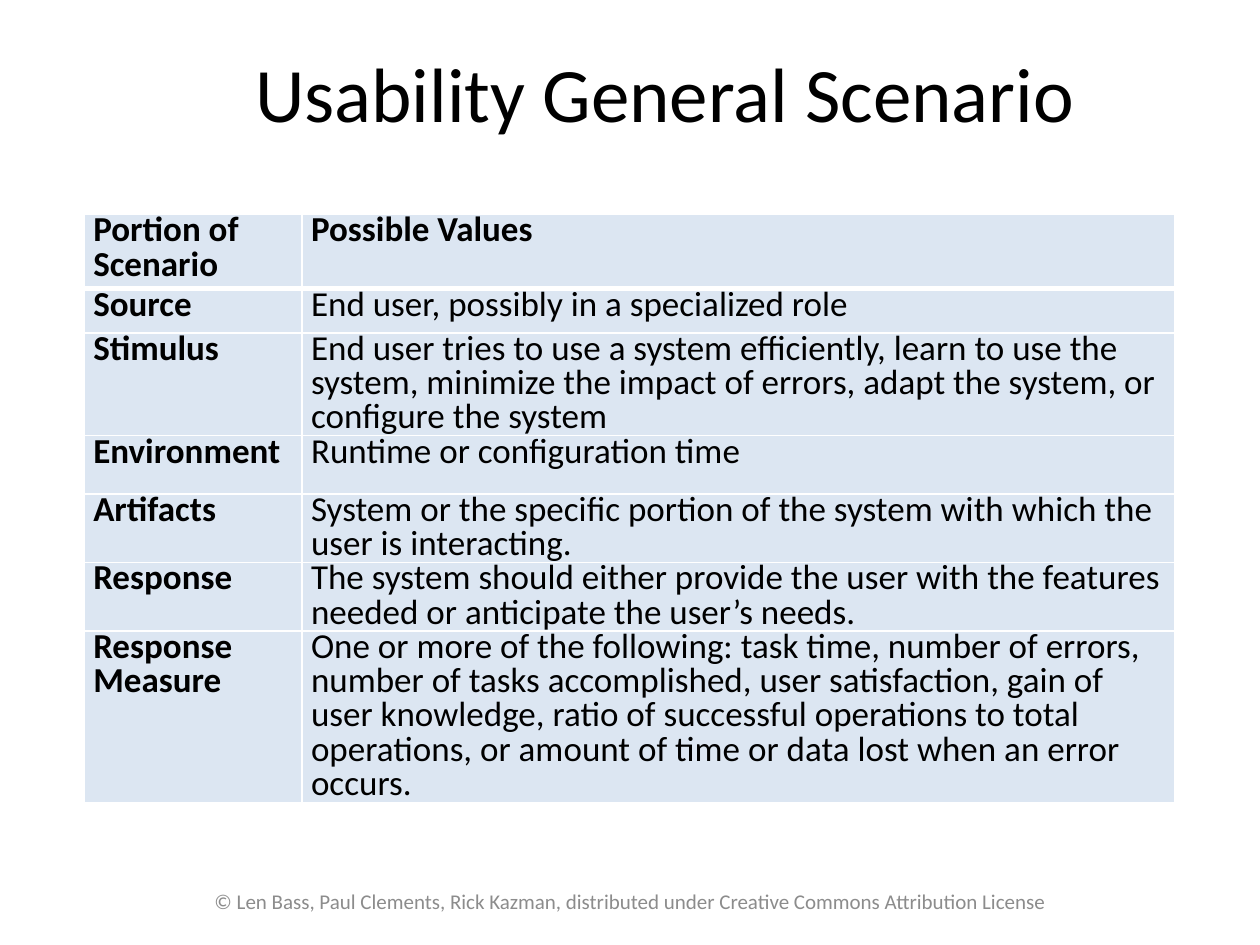
from lxml.etree import SubElement
from pptx import Presentation
from pptx.dml.color import RGBColor
from pptx.enum.text import MSO_ANCHOR, PP_ALIGN
from pptx.oxml.ns import qn
from pptx.util import Cm, Pt

COLORS = {"text": "000000", "footer": "8C8C8C", "cell": "DCE6F2", "border": "FFFFFF"}
ROWS = [
    ("Portion of\nScenario", "Possible Values"),
    ("Source", "End user, possibly in a specialized role"),
    ("Stimulus", "End user tries to use a system efficiently, learn to use the system, "
     "minimize the impact of errors, adapt the system, or configure the system"),
    ("Environment", "Runtime or configuration time"),
    ("Artifacts", "System or the specific portion of the system with which the user "
     "is interacting."),
    ("Response", "The system should either provide the user with the features needed "
     "or anticipate the user’s needs."),
    ("Response Measure", "One or more of the following: task time, number of errors, "
     "number of tasks accomplished, user satisfaction, gain of user knowledge, ratio of "
     "successful operations to total operations, or amount of time or data lost when an "
     "error occurs."),
]
COLUMN_WIDTHS = [4.39, 17.6]
ROW_HEIGHTS = [1.5, 0.89, 1.32, 1.17, 1.32, 1.32, 2.21]


def write_text(frame, text, size, color, bold=False, align=PP_ALIGN.LEFT):
    frame.word_wrap = True
    para = frame.paragraphs[0]
    para.text = text
    para.alignment = align
    for span in para.runs:
        span.font.name = "Calibri"
        span.font.size = Pt(size)
        span.font.bold = bold
        span.font.color.rgb = RGBColor.from_string(COLORS[color])
    return para


def add_border(cell, side, width):
    properties = cell._tc.get_or_add_tcPr()
    line = SubElement(properties, qn(f"a:ln{side}"), w=str(Pt(width)))
    fill = SubElement(line, qn("a:solidFill"))
    SubElement(fill, qn("a:srgbClr"), val=COLORS["border"])


deck = Presentation()
deck.slide_width, deck.slide_height = Cm(25.4), Cm(19.05)
page = deck.slides.add_slide(deck.slide_layouts[5])

# Title
title = page.shapes.title
title.left, title.top, title.width, title.height = Cm(2.69), Cm(0.76), Cm(21.44), Cm(2.16)
title.text_frame.vertical_anchor = MSO_ANCHOR.MIDDLE
write_text(title.text_frame, "Usability General Scenario", 44, "text", align=PP_ALIGN.CENTER)

# Scenario table
table = page.shapes.add_table(len(ROWS), len(COLUMN_WIDTHS), Cm(1.7), Cm(4.32),
                              Cm(sum(COLUMN_WIDTHS)), Cm(sum(ROW_HEIGHTS))).table
for column, width in zip(table.columns, COLUMN_WIDTHS):
    column.width = Cm(width)
for row, height in zip(table.rows, ROW_HEIGHTS):
    row.height = Cm(height)

for row_index, texts in enumerate(ROWS):
    for column_index, text in enumerate(texts):
        cell = table.cell(row_index, column_index)
        cell.margin_left = cell.margin_right = Cm(0.18)
        cell.margin_top = cell.margin_bottom = Cm(0)
        is_heading = row_index == 0 or column_index == 0
        para = write_text(cell.text_frame, text, 20, "text", bold=is_heading)
        para.line_spacing = 0.8
        # The header row is set off by a thicker line; borders go before the fill
        for side in "LRTB":
            header_edge = (row_index, side) in [(0, "B"), (1, "T")]
            add_border(cell, side, 3 if header_edge else 1)
        cell.fill.solid()
        cell.fill.fore_color.rgb = RGBColor.from_string(COLORS["cell"])

# Copyright line
footer = page.shapes.add_textbox(Cm(3.91), Cm(17.65), Cm(17.6), Cm(1.02))
footer.text_frame.vertical_anchor = MSO_ANCHOR.MIDDLE
write_text(footer.text_frame,
           "© Len Bass, Paul Clements, Rick Kazman, distributed under "
           "Creative Commons Attribution License",
           12, "footer", align=PP_ALIGN.CENTER)

deck.save("out.pptx")
